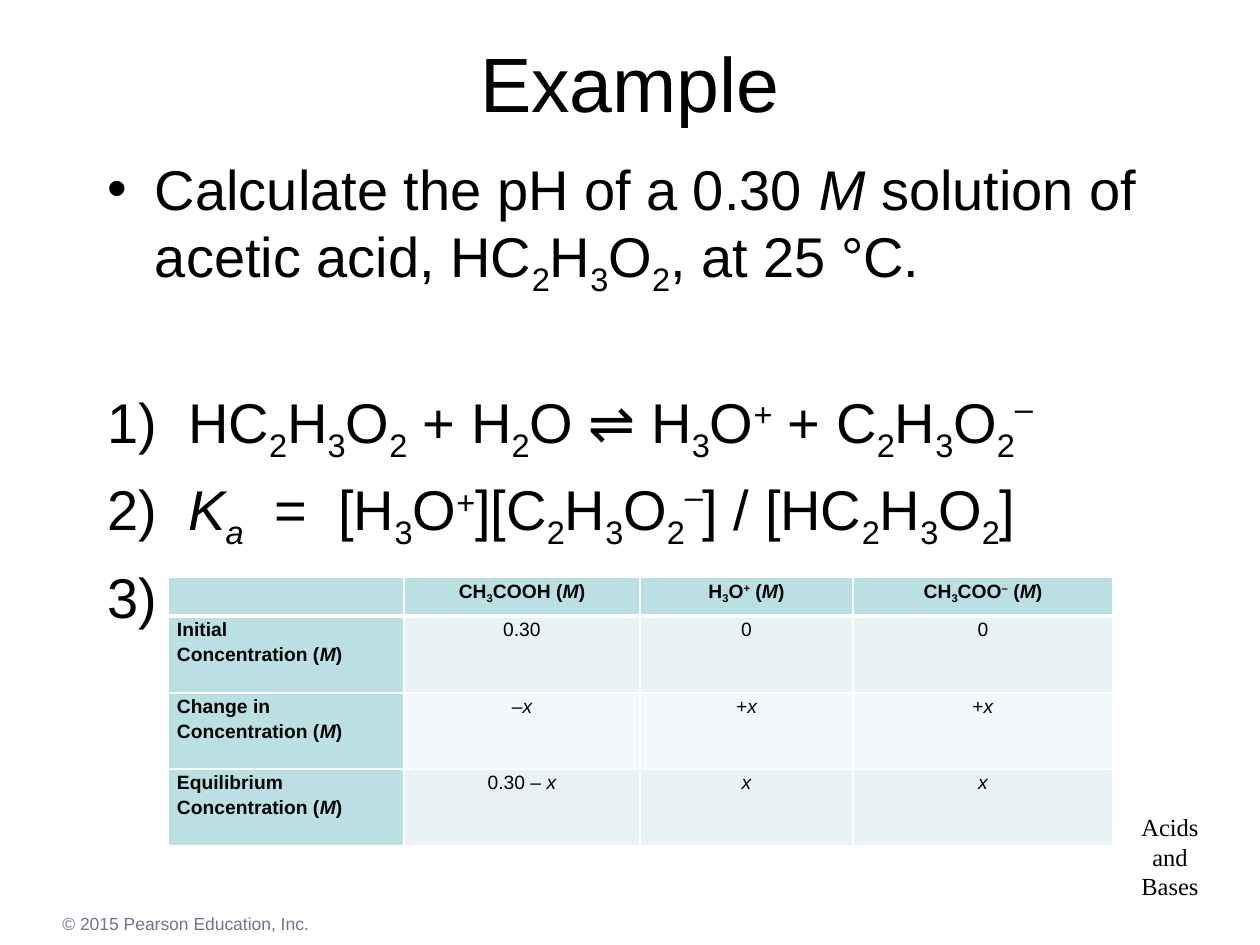
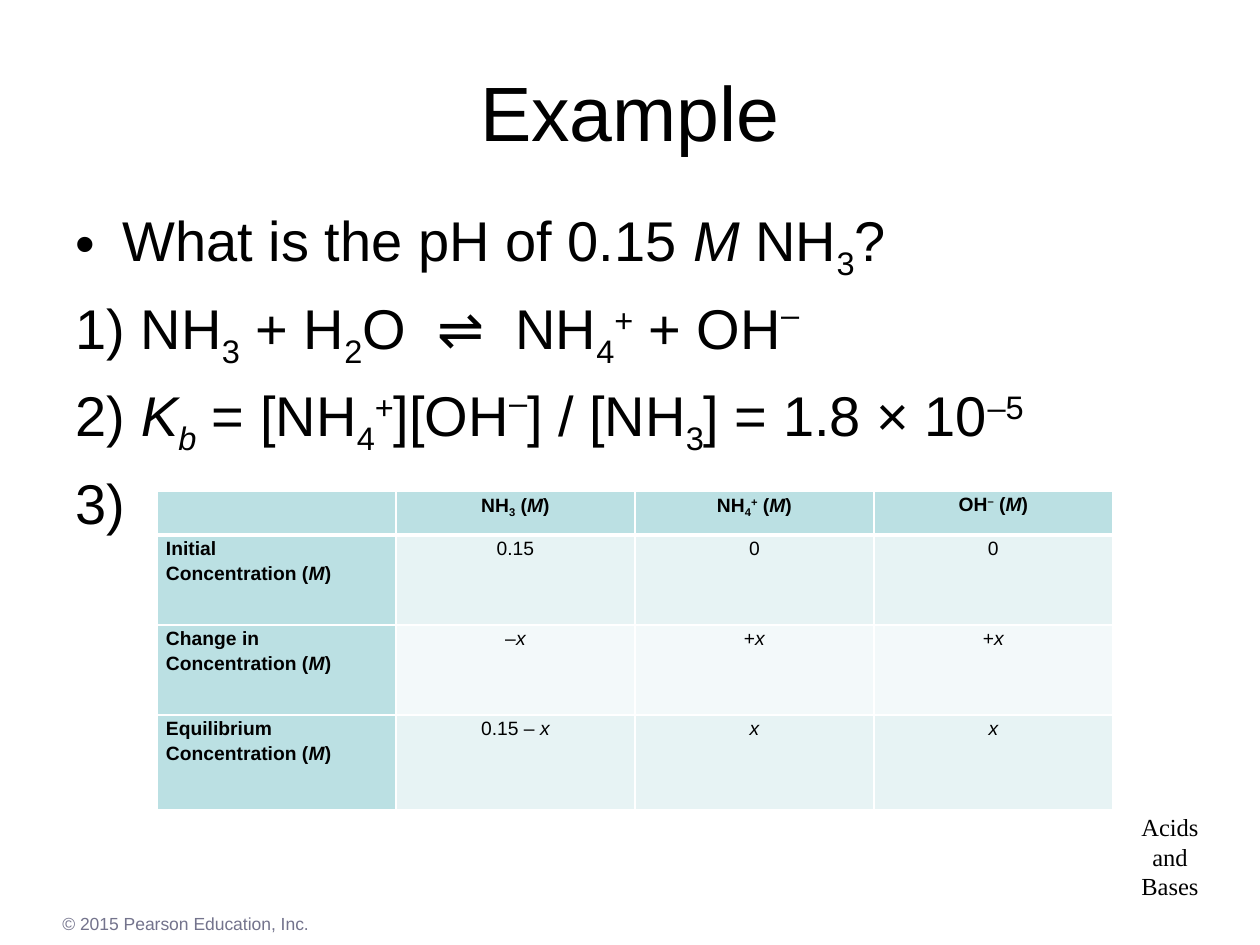
"""Build two worked pH examples with equilibrium concentration tables."""
from itertools import groupby

from lxml import etree
from pptx import Presentation, util as u
from pptx.dml.color import RGBColor
from pptx.enum import text as t
from pptx.oxml.ns import qn

BLACK = RGBColor(0x00, 0x00, 0x00)
WHITE = RGBColor(0xFF, 0xFF, 0xFF)
GRAY = RGBColor(0x73, 0x73, 0x8C)
TEAL = RGBColor(0xBB, 0xE0, 0xE3)
BANDS = [RGBColor(0xE7, 0xF3, 0xF4), RGBColor(0xF3, 0xF9, 0xFA)]
BASELINES = {"_": -25000, "^": 30000, "|": 40000}
LEFT, CENTER = t.PP_ALIGN.LEFT, t.PP_ALIGN.CENTER

EXAMPLES = [
    dict(
        title_box=(0, 3, 1260, 157),
        body_box=(95, 148, 1071, 346),
        number_indent=65,
        equation_gap=51,
        body="Calculate the pH of a 0.30 *M* solution of acetic acid, HC_2H_3O_2, at 25 °C.\n"
             " HC_2H_3O_2 + H_2O ⇌ H_3O^+ + C_2H_3O_2|–\n"
             " *K_a*  =  [H_3O^+][C_2H_3O_2|–] / [HC_2H_3O_2]\n ",
        table_origin=(168, 577),
        columns=[236, 236, 213, 260],
        rows=[39, 77, 76, 77],
        species=["CH_3COOH", "H_3O^+", "CH_3COO^–"],
        start="0.30",
    ),
    dict(
        title_box=(0, 32, 1260, 157),
        body_box=(63, 199, 1144, 357),
        number_indent=49,
        equation_gap=6.4,
        body="What is the pH of 0.15 *M* NH_3?\n"
             " NH_3 + H_2O  ⇌  NH_4^+ + OH|–\n"
             " *K_b* = [NH_4^+][OH|–] / [NH_3] = 1.8 × 10^–^5\n ",
        table_origin=(157, 491),
        columns=[239] * 4,
        rows=[44, 90, 90, 95],
        species=["NH_3", "NH_4^+", "OH^–"],
        start="0.15",
    ),
]


def px(*lengths):
    return [u.Emu(round(length * 914400 / 126)) for length in lengths]


def write(frame, content, size=11, font="Arial", color=BLACK, bold=False, align=LEFT, spacing=None):
    """Write lines where * toggles italic and _ ^ | shift the next character."""
    for number, line in enumerate(content.split("\n")):
        paragraph = frame.paragraphs[0] if number == 0 else frame.add_paragraph()
        paragraph.alignment = align
        if spacing:
            paragraph.line_spacing = spacing
        characters, italic, baseline = [], False, 0
        for character in line:
            if character == "*":
                italic = not italic
            elif character in BASELINES:
                baseline = BASELINES[character]
            else:
                characters.append((character, italic, baseline))
                baseline = 0
        for (italic, baseline), group in groupby(characters, key=lambda item: item[1:]):
            run = paragraph.add_run()
            run.text = "".join(item[0] for item in group)
            run.font.size, run.font.name = u.Pt(size), font
            run.font.bold, run.font.italic = bold, italic
            run.font.color.rgb = color
            if baseline:
                run.font._element.set("baseline", str(baseline))


presentation = Presentation()
presentation.slide_width, presentation.slide_height = px(1260, 945)

for example in EXAMPLES:
    slide = presentation.slides.add_slide(presentation.slide_layouts[1])

    section = slide.shapes.add_textbox(*px(1129, 806, 82, 101))
    section.text_frame.word_wrap = False
    section.text_frame.margin_left = section.text_frame.margin_right = 0
    write(section.text_frame, "Acids\nand\nBases", size=14, font="Times New Roman", align=CENTER)
    footer = slide.shapes.add_textbox(*px(50, 907, 1134, 34))
    footer.text_frame.word_wrap = True
    write(footer.text_frame, "© 2015 Pearson Education, Inc.", size=10, color=GRAY)

    title, body = slide.placeholders
    for shape, box in [(title, example["title_box"]), (body, example["body_box"])]:
        shape.left, shape.top, shape.width, shape.height = px(*box)
        shape.text_frame.auto_size = t.MSO_AUTO_SIZE.NONE
    title.text_frame.vertical_anchor = t.MSO_ANCHOR.MIDDLE
    write(title.text_frame, "Example", size=44, align=CENTER)
    write(body.text_frame, example["body"], size=32)
    for number, paragraph in enumerate(body.text_frame.paragraphs):
        gap = [0, example["equation_gap"], 6.4, 6.4][number]
        paragraph.space_before = u.Pt(gap)
        if number > 0:
            properties = paragraph._p.get_or_add_pPr()
            indent = px(example["number_indent"])[0]
            properties.set("marL", str(indent))
            properties.set("indent", str(-indent))
            etree.SubElement(properties, qn("a:buFont"), typeface="+mj-lt")
            etree.SubElement(properties, qn("a:buAutoNum"), type="arabicParenR")

    header = [""] + [f"{name} (*M*)" for name in example["species"]]
    grid = [
        header,
        ["Initial\nConcentration (*M*)", example["start"], "0", "0"],
        ["Change in Concentration (*M*)", "–*x*", "+*x*", "+*x*"],
        ["Equilibrium Concentration (*M*)", f"{example['start']} – *x*", "*x*", "*x*"],
    ]
    columns, rows = example["columns"], example["rows"]
    frame = slide.shapes.add_table(4, 4, *px(*example["table_origin"], sum(columns), sum(rows)))
    table = frame.table
    for column, width in zip(table.columns, px(*columns)):
        column.width = width
    for row, height in zip(table.rows, px(*rows)):
        row.height = height
    for row_number, values in enumerate(grid):
        for column_number, value in enumerate(values):
            cell = table.cell(row_number, column_number)
            cell.margin_left = cell.margin_right = px(9)[0]
            cell.margin_top = cell.margin_bottom = 0
            heading = row_number == 0 or column_number == 0
            write(cell.text_frame, value, bold=heading, spacing=1.15,
                  align=CENTER if column_number else LEFT)
            thick_side = {0: "lnB", 1: "lnT"}.get(row_number)
            for side in ("lnL", "lnR", "lnT", "lnB"):
                border = etree.SubElement(cell._tc.get_or_add_tcPr(), qn(f"a:{side}"),
                                          w=str(u.Pt(3 if side == thick_side else 1)))
                fill = etree.SubElement(border, qn("a:solidFill"))
                etree.SubElement(fill, qn("a:srgbClr"), val=str(WHITE))
            cell.fill.solid()
            cell.fill.fore_color.rgb = TEAL if heading else BANDS[(row_number - 1) % 2]

presentation.save("out.pptx")
